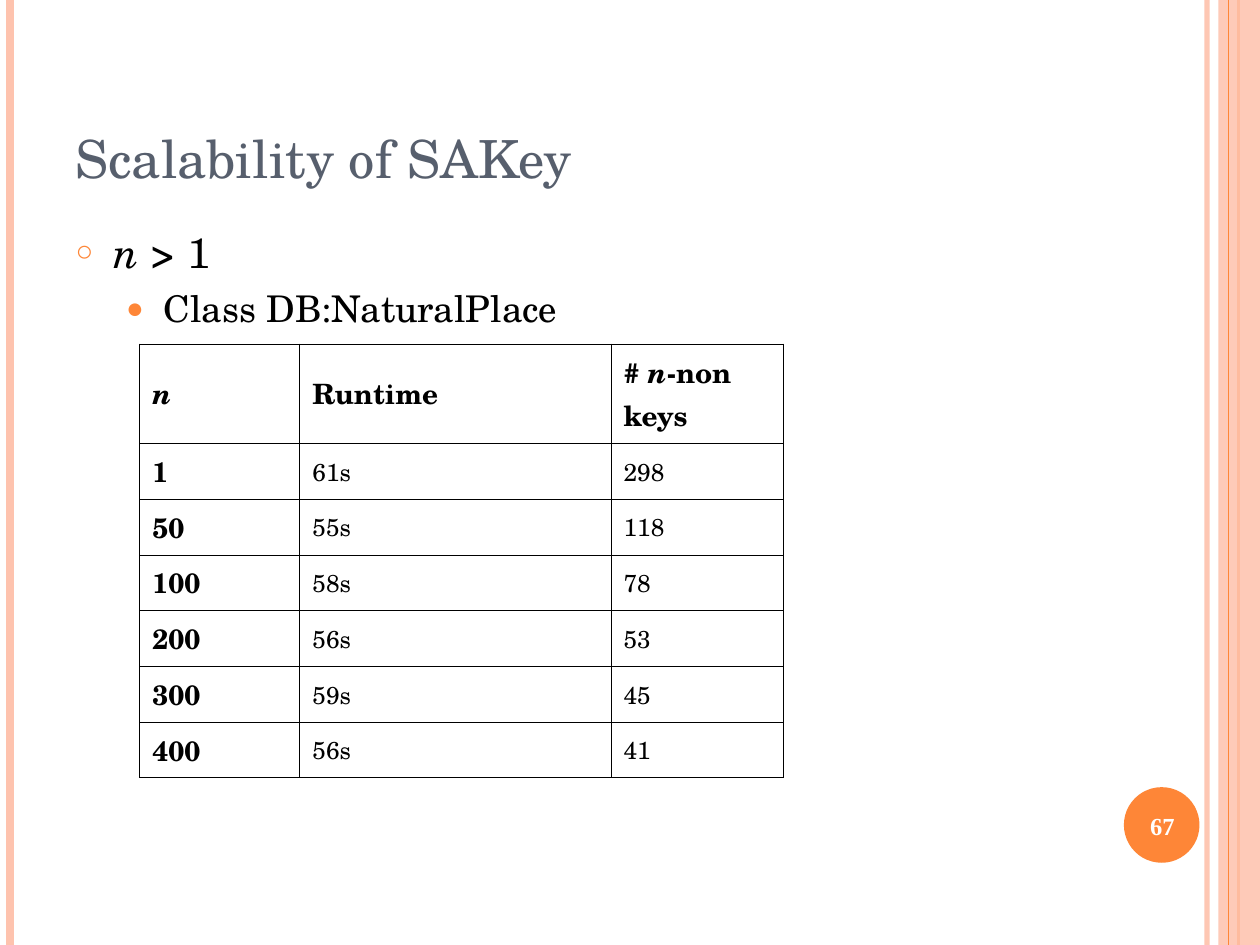
"""Builds the slide on the scalability of SAKey: a short list, a runtime table and a striped frame."""
from lxml import etree
from pptx import Presentation
from pptx.dml.color import RGBColor
from pptx.enum.shapes import MSO_CONNECTOR, MSO_SHAPE
from pptx.enum.text import MSO_ANCHOR, MSO_AUTO_SIZE, PP_ALIGN
from pptx.oxml import parse_xml
from pptx.oxml.ns import nsdecls, qn
from pptx.util import Inches, Pt

STRAIGHT = MSO_CONNECTOR.STRAIGHT
RECT, OVAL = MSO_SHAPE.RECTANGLE, MSO_SHAPE.OVAL
TOP, MIDDLE, BOTTOM = MSO_ANCHOR.TOP, MSO_ANCHOR.MIDDLE, MSO_ANCHOR.BOTTOM
LEFT, CENTER = PP_ALIGN.LEFT, PP_ALIGN.CENTER
NO_FIT = MSO_AUTO_SIZE.NONE

THEME = {
    "font": "TeX Gyre Schola", "number_font": "Times New Roman",
    "accent": "FE8637", "pale": "FEC3AE", "title": "575F6D", "ink": "000000", "white": "FFFFFF",
    "title_size": 30, "list_sizes": (24, 21), "head_size": 16, "cell_size": 14,
}


def add_run(p, text, size, color=THEME["ink"], font=THEME["font"], bold=False, italic=False):
    r = p.add_run()
    r.text = text
    r.font.name, r.font.size = font, Pt(size)
    r.font.bold, r.font.italic = bold, italic
    r.font.color.rgb = RGBColor.from_string(color)


def set_alpha(element, percent):
    color = element.find(".//" + qn("a:srgbClr"))
    etree.SubElement(color, qn("a:alpha")).set("val", str(percent * 1000))


prs = Presentation()
prs.slide_width, prs.slide_height = Inches(10), Inches(7.5)
W, H = prs.slide_width, prs.slide_height
s = prs.slides.add_slide(prs.slide_layouts[1])

stripes = [(0.958, "pale", 3, 93), (0.008, "pale", 4.5, 100),
           (0.983, "accent", 1.5, 100), (0.975, "accent", 0.75, 100)]
lines = []
for x, color, width, alpha in stripes:
    line = s.shapes.add_connector(STRAIGHT, int(x * W), 0, int(x * W), H)
    line.line.color.rgb = RGBColor.from_string(THEME[color])
    line.line.width = Pt(width)
    set_alpha(line.line._ln, alpha)
    etree.SubElement(line._element.spPr, qn("a:effectLst"))
    lines.append(line)

badge_size = int(0.06 * W)
blocks = [(RECT, int(0.967 * W), 0, int(0.033 * W), H, "pale", 87),
          (OVAL, int(0.892 * W), int(0.833 * H), badge_size, badge_size, "accent", 100)]
for kind, x, y, width, height, color, alpha in blocks:
    sp = s.shapes.add_shape(kind, x, y, width, height)
    sp.shadow.inherit = False
    sp.fill.solid()
    sp.fill.fore_color.rgb = RGBColor.from_string(THEME[color])
    set_alpha(sp._element.spPr, alpha)
    sp.line.fill.background()
s.shapes._spTree.append(lines[-1]._element)

title, body = s.shapes.title, s.placeholders[1]
for sp, y, height, anchor in ((title, 0.04, 0.167, BOTTOM), (body, 0.233, 0.711, TOP)):
    sp.left, sp.top, sp.width, sp.height = int(0.05 * W), int(y * H), int(0.817 * W), int(height * H)
    sp.text_frame.auto_size = NO_FIT
    sp.text_frame.vertical_anchor = anchor
p = title.text_frame.paragraphs[0]
p.alignment = LEFT
add_run(p, "Scalability of SAKey", THEME["title_size"], THEME["title"])

items = [([("n", True), (" > 1", False)], 0.3, 6, "○", 70),
         ([("Class DB:NaturalPlace", False)], 0.7, 5.2, "●", 80)]
tf = body.text_frame
for level, (runs, indent, before, bullet, bullet_size) in enumerate(items):
    p = tf.add_paragraph() if level else tf.paragraphs[0]
    p.level, p.space_before = level, Pt(before)
    pPr = p._p.get_or_add_pPr()
    pPr.set("marL", str(Inches(indent)))
    pPr.set("indent", str(Inches(-0.3)))
    for xml in (f'<a:buClr {nsdecls("a")}><a:srgbClr val="{THEME["accent"]}"/></a:buClr>',
                f'<a:buSzPct {nsdecls("a")} val="{bullet_size * 1000}"/>',
                f'<a:buChar {nsdecls("a")} char="{bullet}"/>'):
        pPr.append(parse_xml(xml))
    for text, italic in runs:
        add_run(p, text, THEME["list_sizes"][level], italic=italic)

header = [[("n", True)], [("Runtime", False)], [("# ", False), ("n", True), ("-non keys", False)]]
data = [("1", "61s", "298"), ("50", "55s", "118"), ("100", "58s", "78"),
        ("200", "56s", "53"), ("300", "59s", "45"), ("400", "56s", "41")]
rows = [header] + [[[(value, False)] for value in record] for record in data]
col_widths = (1.27, 2.47, 1.37)
row_heights = [0.79] + [0.44] * len(data)
table = s.shapes.add_table(len(rows), len(col_widths), int(0.111 * W), int(0.364 * H),
                           Inches(sum(col_widths)), Inches(sum(row_heights))).table
table.first_row = table.horz_banding = False
for column, width in zip(table.columns, col_widths):
    column.width = Inches(width)
for i, (cells, height) in enumerate(zip(rows, row_heights)):
    table.rows[i].height = Inches(height)
    for j, runs in enumerate(cells):
        cell = table.cell(i, j)
        cell.vertical_anchor = MIDDLE
        tcPr = cell._tc.get_or_add_tcPr()
        for side in ("lnL", "lnR", "lnT", "lnB"):
            tcPr.append(parse_xml(f'<a:{side} {nsdecls("a")} w="{Pt(0.45)}"><a:solidFill>'
                                  f'<a:srgbClr val="{THEME["ink"]}"/></a:solidFill></a:{side}>'))
        cell.fill.background()
        p = cell.text_frame.paragraphs[0]
        strong = i == 0 or j == 0
        if i == 0:
            p.line_spacing = Pt(24.6)
        for text, italic in runs:
            add_run(p, text, THEME["head_size" if strong else "cell_size"], bold=strong, italic=italic)

number = s.shapes.add_textbox(int(0.889 * W), int(0.836 * H), int(0.067 * W), int(0.076 * H))
tf = number.text_frame
tf.word_wrap = True
tf.vertical_anchor = MIDDLE
p = tf.paragraphs[0]
p.alignment, p.space_before = CENTER, Pt(5.2)
add_run(p, "67", 14, THEME["white"], THEME["number_font"], bold=True)

prs.save("out.pptx")
